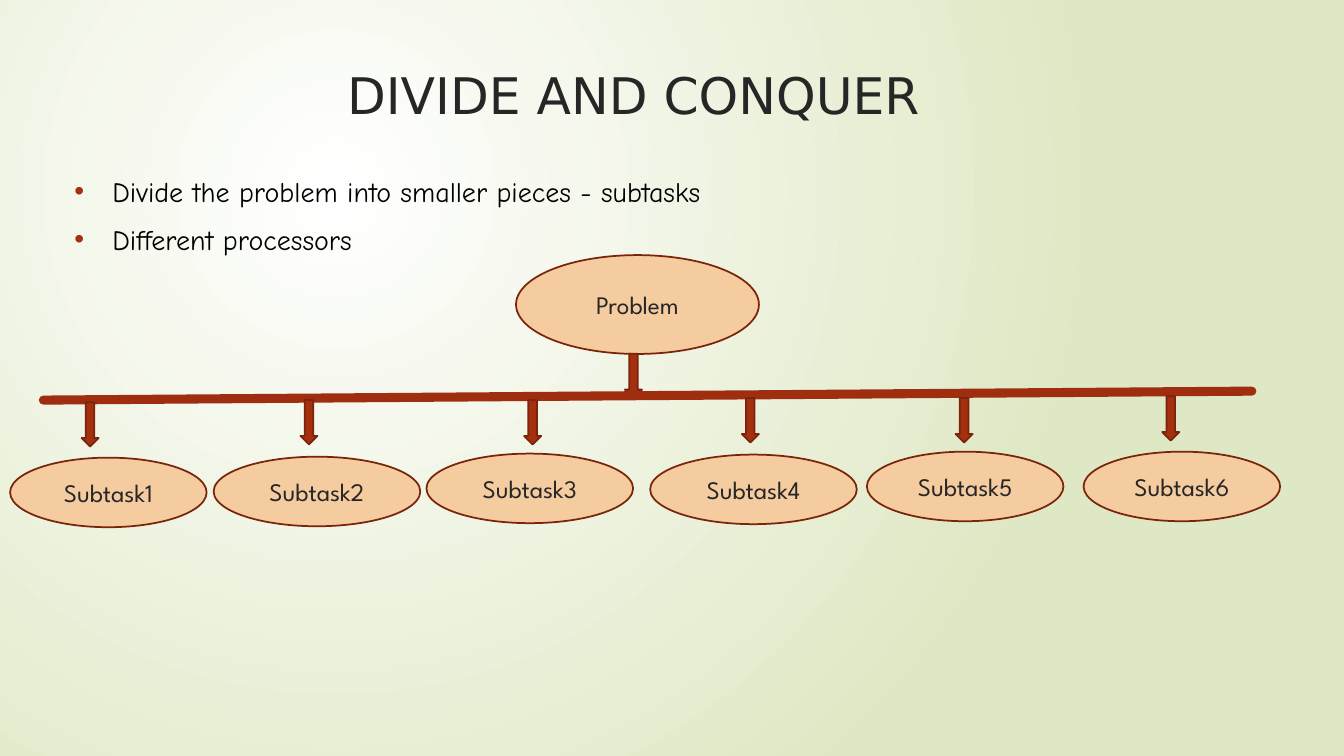
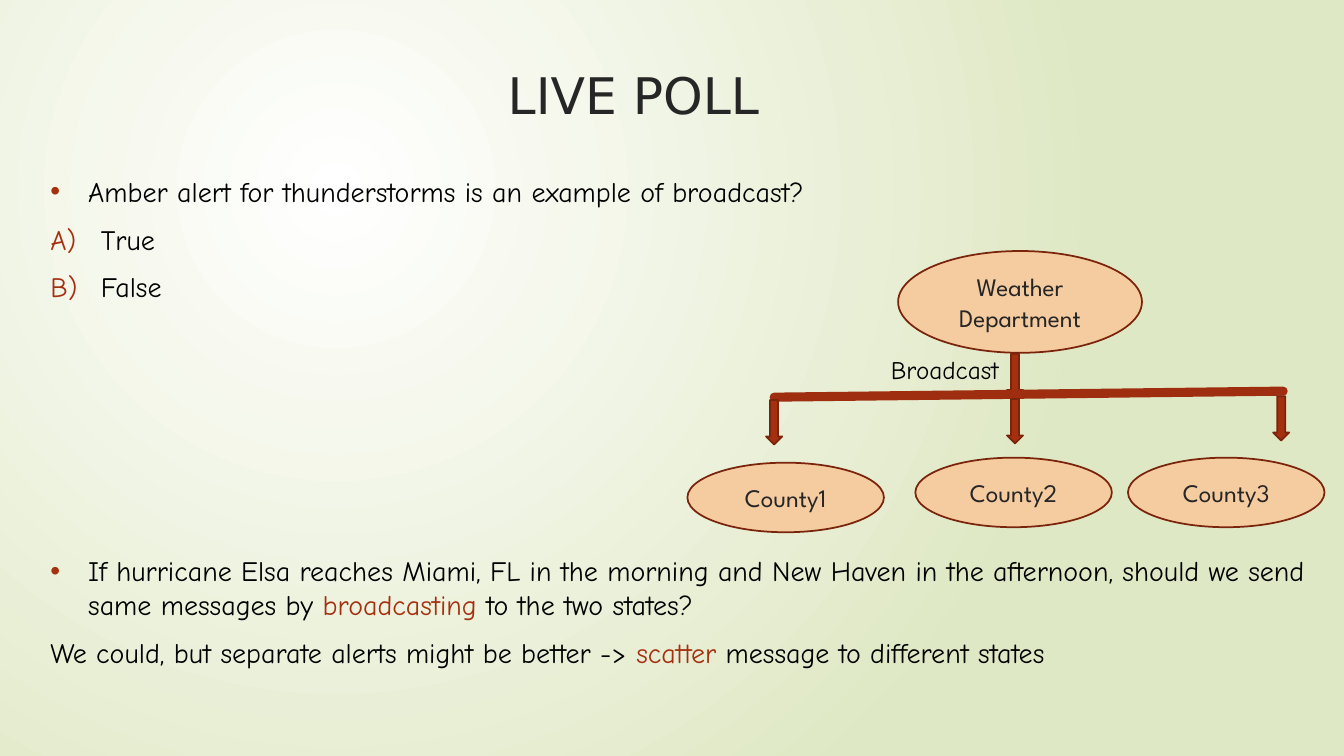
"""Build two slides on dividing work and sending messages."""
from lxml.etree import SubElement
from pptx import Presentation
from pptx.dml.color import RGBColor
from pptx.enum.shapes import MSO_CONNECTOR, MSO_SHAPE
from pptx.enum.text import MSO_ANCHOR, MSO_AUTO_SIZE, PP_ALIGN
from pptx.oxml.ns import qn
from pptx.util import Pt

RUST, EDGE, BAR, PEACH = "A53010", "7A240C", "9E2E0F", "F5CBA0"
INK, BLACK, WHITE, SAGE = "262626", "000000", "FFFFFF", "DFE8C4"
HEAD, BODY, NODE = "DejaVu Sans", "Comic Neue", "League Spartan"
TITLE_BOX = (101.5, 42.5, 702, 100.8)
OVAL_H, ARROW_H, GAP = 49.7, 31.7, 10
INDENT = {"dot": 27, "letter": 36, "plain": 0}

SLIDES = [
    {
        "title": "DIVIDE AND CONQUER",
        "box": (46, 121, 702, 297.4),
        "body": [
            ("dot", GAP, [("Divide the problem into smaller pieces - subtasks", BLACK)]),
            ("dot", GAP, [("Different processors", BLACK)]),
        ],
        "root": ("Problem", 368.6, 182.2, 173.5, 70.6),
        "nodes": [
            ("Subtask1", 7.2, 326.9, 140.4),
            ("Subtask2", 152.6, 326.2, 147.6),
            ("Subtask3", 304.6, 324, 147.6),
            ("Subtask4", 464.4, 324.7, 147.6),
            ("Subtask5", 619.2, 322.6, 140.4),
            ("Subtask6", 774, 322.6, 140.4),
        ],
        "stem": (446.4, 252.7),
        "bar": (31, 285.8, 894.2, 279.4),
        "arrows": [(58.3, 287.3), (214.6, 285.8), (374.4, 285.8),
                   (529.9, 284.4), (682.6, 284.4), (830.2, 283)],
        "wide": 12.2,
    },
    {
        "title": "LIVE POLL",
        "box": (28.8, 121, 917.3, 388.8),
        "body": [
            ("dot", GAP, [("Amber alert for thunderstorms is an example of broadcast?", BLACK)]),
            ("letter", GAP, [("True", BLACK)]),
            ("letter", GAP, [("False", BLACK)]),
            ("dot", 179, [
                ("If hurricane Elsa reaches Miami, FL in the morning and New Haven "
                 "in the afternoon, should we send same messages by ", BLACK),
                ("broadcasting", RUST),
                (" to the two states?", BLACK),
            ]),
            ("plain", GAP, [
                ("We could, but separate alerts might be better -> ", BLACK),
                ("scatter ", RUST),
                ("message to different states", BLACK),
            ]),
        ],
        "root": ("Weather Department", 641.5, 179.3, 174.2, 72.7),
        "nodes": [
            ("County1", 491, 330.5, 140.4),
            ("County2", 653.8, 326.9, 140.4),
            ("County3", 805.7, 326.9, 140.4),
        ],
        "stem": (719.3, 252.7),
        "bar": (553, 283.7, 916.6, 279.4),
        "arrows": [(547.2, 285.8), (719.3, 285.1), (909.4, 283)],
        "wide": 11.5,
        "label": ("Broadcast", 629.3, 249.8, 100.8, 28.8),
    },
]


def color(code):
    return RGBColor.from_string(code)


def style(run, face, size, code):
    run.font.name, run.font.size = face, Pt(size)
    run.font.color.rgb = color(code)


def place(shape, box):
    shape.left, shape.top, shape.width, shape.height = map(Pt, box)
    shape.text_frame.vertical_anchor = MSO_ANCHOR.TOP
    shape.text_frame.auto_size = MSO_AUTO_SIZE.NONE


def backdrop(master):
    fill = master.background.fill
    fill.gradient()
    for stop, code in zip(fill.gradient_stops, (WHITE, SAGE)):
        stop.color.rgb = color(code)
    grad = master.element.xpath("p:cSld/p:bg//a:gradFill")[0]
    for line in grad.findall(qn("a:lin")):
        grad.remove(line)
    ring = SubElement(grad, qn("a:path"), {"path": "circle"})
    SubElement(ring, qn("a:fillToRect"),
               {"l": "50000", "t": "50000", "r": "100000", "b": "100000"})


def mark(para, kind):
    props = para._p.get_or_add_pPr()
    props.set("marL", str(Pt(INDENT[kind])))
    props.set("indent", str(-Pt(INDENT[kind])))
    if kind == "plain":
        SubElement(props, qn("a:buNone"))
        return
    SubElement(SubElement(props, qn("a:buClr")), qn("a:srgbClr"), {"val": RUST})
    if kind == "dot":
        SubElement(props, qn("a:buChar"), {"char": "•"})
    else:
        SubElement(props, qn("a:buFontTx"))
        SubElement(props, qn("a:buAutoNum"), {"type": "alphaUcParenR"})


def write(frame, items):
    for i, (kind, gap, parts) in enumerate(items):
        para = frame.add_paragraph() if i else frame.paragraphs[0]
        para.space_before = Pt(gap)
        mark(para, kind)
        for text, code in parts:
            run = para.add_run()
            run.text = text
            style(run, BODY, 20, code)


def solid(slide, kind, box, code):
    shape = slide.shapes.add_shape(kind, *map(Pt, box))
    shape.shadow.inherit = False
    shape.fill.solid()
    shape.fill.fore_color.rgb = color(code)
    shape.line.color.rgb, shape.line.width = color(EDGE), Pt(1.25)
    return shape


def oval(slide, text, *box):
    frame = solid(slide, MSO_SHAPE.OVAL, box, PEACH).text_frame
    frame.text = text
    frame.word_wrap = True
    frame.vertical_anchor = MSO_ANCHOR.MIDDLE
    para = frame.paragraphs[0]
    para.alignment = PP_ALIGN.CENTER
    style(para.runs[0], NODE, 18, INK)


def rail(slide, ends):
    line = slide.shapes.add_connector(MSO_CONNECTOR.STRAIGHT, *map(Pt, ends))
    line.line.color.rgb, line.line.width = color(BAR), Pt(6.5)
    line.line._get_or_add_ln().set("cap", "rnd")
    SubElement(line._element.spPr, qn("a:effectLst"))


def label(slide, text, *box):
    frame = slide.shapes.add_textbox(*map(Pt, box)).text_frame
    frame.text = text
    frame.word_wrap = False
    style(frame.paragraphs[0].runs[0], BODY, 18, BLACK)


def tree(slide, data):
    oval(slide, *data["root"])
    for node in data["nodes"]:
        oval(slide, *node, OVAL_H)
    size = (data["wide"], ARROW_H)
    solid(slide, MSO_SHAPE.DOWN_ARROW, data["stem"] + size, RUST)
    rail(slide, data["bar"])
    for spot in data["arrows"]:
        solid(slide, MSO_SHAPE.DOWN_ARROW, spot + size, RUST)
    if "label" in data:
        label(slide, *data["label"])


def build(deck, data):
    slide = deck.slides.add_slide(deck.slide_layouts[1])
    title, body = slide.placeholders
    place(title, TITLE_BOX)
    title.text_frame.text = data["title"]
    para = title.text_frame.paragraphs[0]
    para.alignment = PP_ALIGN.CENTER
    style(para.runs[0], HEAD, 36, INK)
    place(body, data["box"])
    write(body.text_frame, data["body"])
    tree(slide, data)


def main():
    deck = Presentation()
    deck.slide_width, deck.slide_height = Pt(960), Pt(540)
    backdrop(deck.slide_master)
    for data in SLIDES:
        build(deck, data)
    deck.save("out.pptx")


if __name__ == "__main__":
    main()
